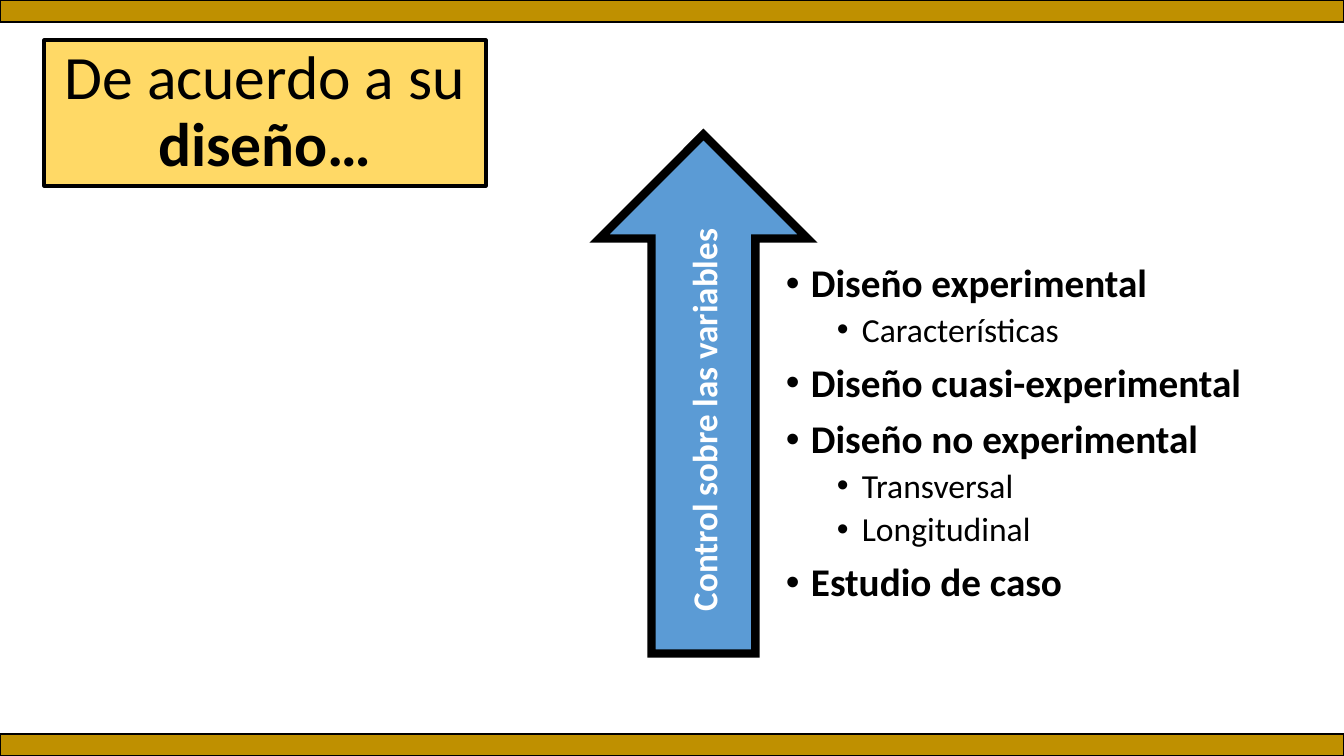
from lxml.etree import SubElement
from pptx import Presentation
from pptx.dml.color import RGBColor
from pptx.enum.shapes import MSO_SHAPE
from pptx.enum.text import MSO_ANCHOR, MSO_AUTO_SIZE, PP_ALIGN
from pptx.oxml.ns import qn
from pptx.util import Pt

BLACK = RGBColor(0x00, 0x00, 0x00)
WHITE = RGBColor(0xFF, 0xFF, 0xFF)
BLUE = RGBColor(0x5B, 0x9B, 0xD5)
CREAM = RGBColor(0xFF, 0xD9, 0x66)
GOLD = RGBColor(0xBF, 0x90, 0x00)
WIDE, HIGH = 1344, 756


def px(num):
    return round(num * 914400 / 100.8)


class Deck:
    font = "Calibri"

    def __init__(self):
        self.prs = Presentation()
        self.prs.slide_width = px(WIDE)
        self.prs.slide_height = px(HIGH)
        self.slide = self.prs.slides.add_slide(self.prs.slide_layouts[5])

    def run(self, para, text, size, color=BLACK, bold=False):
        run = para.add_run()
        run.text = text
        font = run.font
        font.name, font.size, font.bold = self.font, Pt(size), bold
        font.color.rgb = color

    def paint(self, shape, fill, line):
        shape.fill.solid()
        shape.fill.fore_color.rgb = fill
        shape.line.color.rgb = BLACK
        shape.line.width = Pt(line)

    def title(self, box, runs):
        shape = self.slide.shapes.title
        shape.left, shape.top, shape.width, shape.height = map(px, box)
        self.paint(shape, CREAM, 2.25)
        frame = shape.text_frame
        frame.word_wrap = True
        frame.auto_size = MSO_AUTO_SIZE.NONE
        frame.vertical_anchor = MSO_ANCHOR.MIDDLE
        para = frame.paragraphs[0]
        para.alignment = PP_ALIGN.CENTER
        para.line_spacing = 0.9
        for text, bold in runs:
            self.run(para, text, 44, bold=bold)

    def shape(self, kind, box, fill, line):
        shape = self.slide.shapes.add_shape(kind, *map(px, box))
        shape.shadow.inherit = False
        self.paint(shape, fill, line)
        return shape

    def arrow(self, box, text):
        shape = self.shape(MSO_SHAPE.RIGHT_ARROW, box, BLUE, 6)
        shape.rotation = 270
        # Sharp corners
        edge = shape.line._get_or_add_ln()
        SubElement(edge, qn("a:miter"), lim="800000")
        frame = shape.text_frame
        frame.vertical_anchor = MSO_ANCHOR.MIDDLE
        para = frame.paragraphs[0]
        para.alignment = PP_ALIGN.CENTER
        self.run(para, text, 25, WHITE, True)

    def list(self, box, items):
        frame = self.slide.shapes.add_textbox(*map(px, box)).text_frame
        frame.word_wrap = True
        for i, (level, text) in enumerate(items):
            para = frame.add_paragraph() if i else frame.paragraphs[0]
            para.level = level
            para.line_spacing = 0.9
            para.space_before = Pt((10, 5)[level] if i else 0)
            # Bullet and hanging indent
            prop = para._p.get_or_add_pPr()
            prop.set("marL", str(px((25, 76)[level])))
            prop.set("indent", str(px(-25)))
            SubElement(prop, qn("a:buFont"), typeface="Arial")
            SubElement(prop, qn("a:buChar"), char="•")
            self.run(para, text, (28, 24)[level], bold=level == 0)


def main():
    deck = Deck()

    # Title
    deck.title((44, 40, 442, 146), [("De acuerdo a su ", False), ("diseño…", True)])

    # List of designs
    deck.list((776, 259, 568, 480), [
        (0, "Diseño experimental"),
        (1, "Características"),
        (0, "Diseño cuasi-experimental"),
        (0, "Diseño no experimental"),
        (1, "Transversal"),
        (1, "Longitudinal"),
        (0, "Estudio de caso"),
    ])

    # Arrow of control
    deck.arrow((444, 290, 519, 208), "Control sobre las variables")

    # Top and bottom bars
    thick = 22
    for top in (0, HIGH - thick):
        deck.shape(MSO_SHAPE.RECTANGLE, (0, top, WIDE, thick), GOLD, 1)

    deck.prs.save("out.pptx")


if __name__ == "__main__":
    main()
